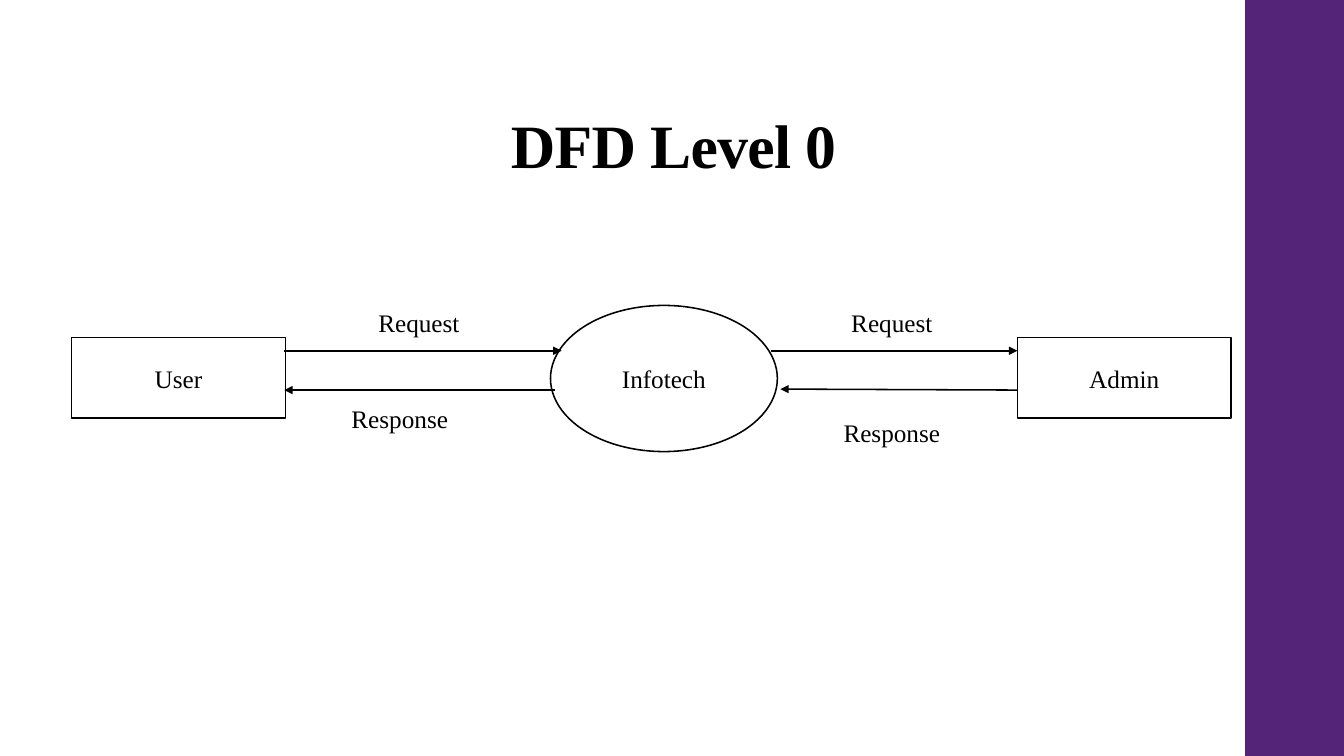
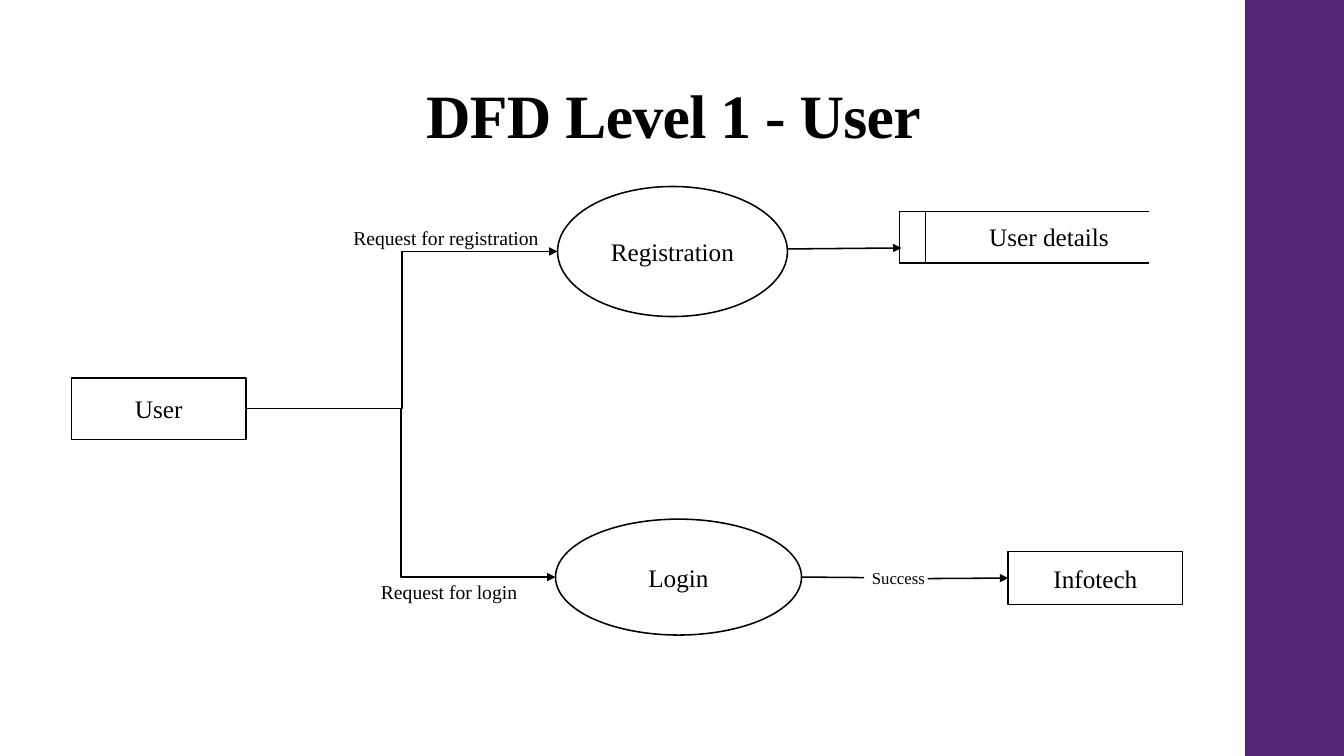
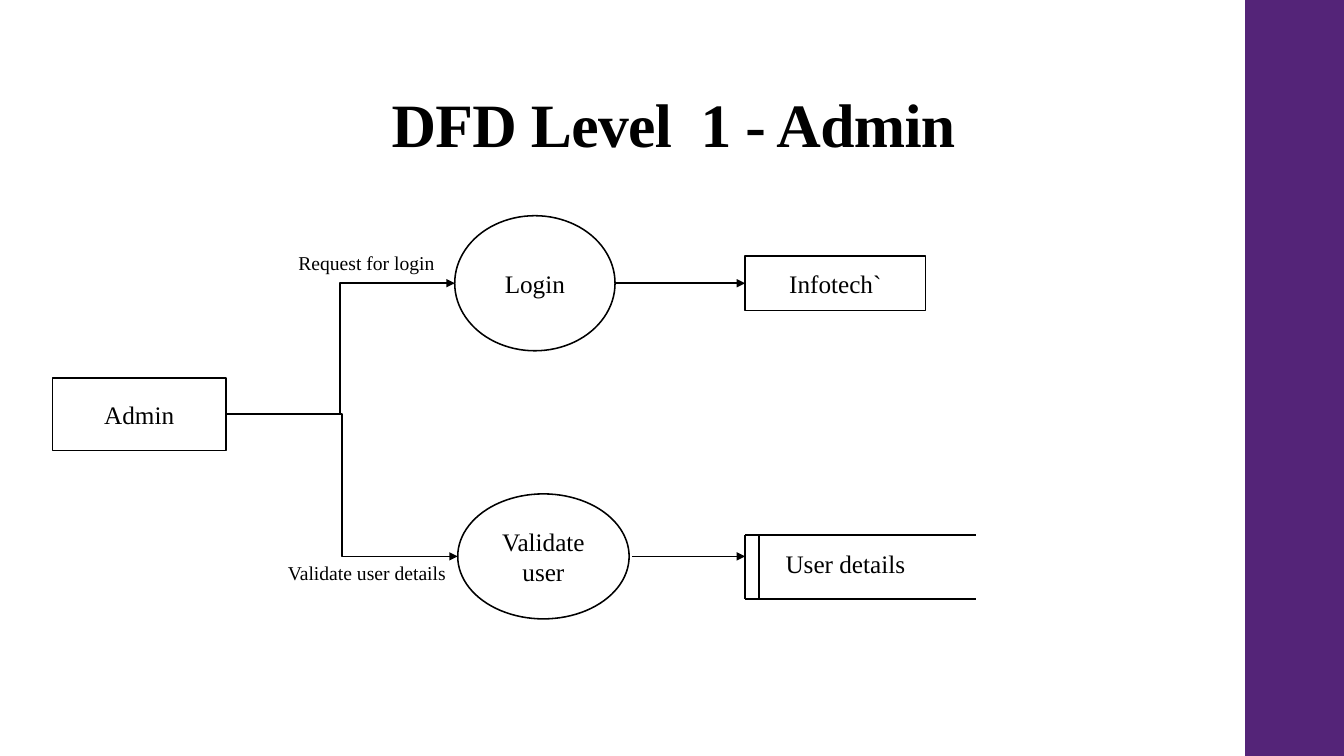
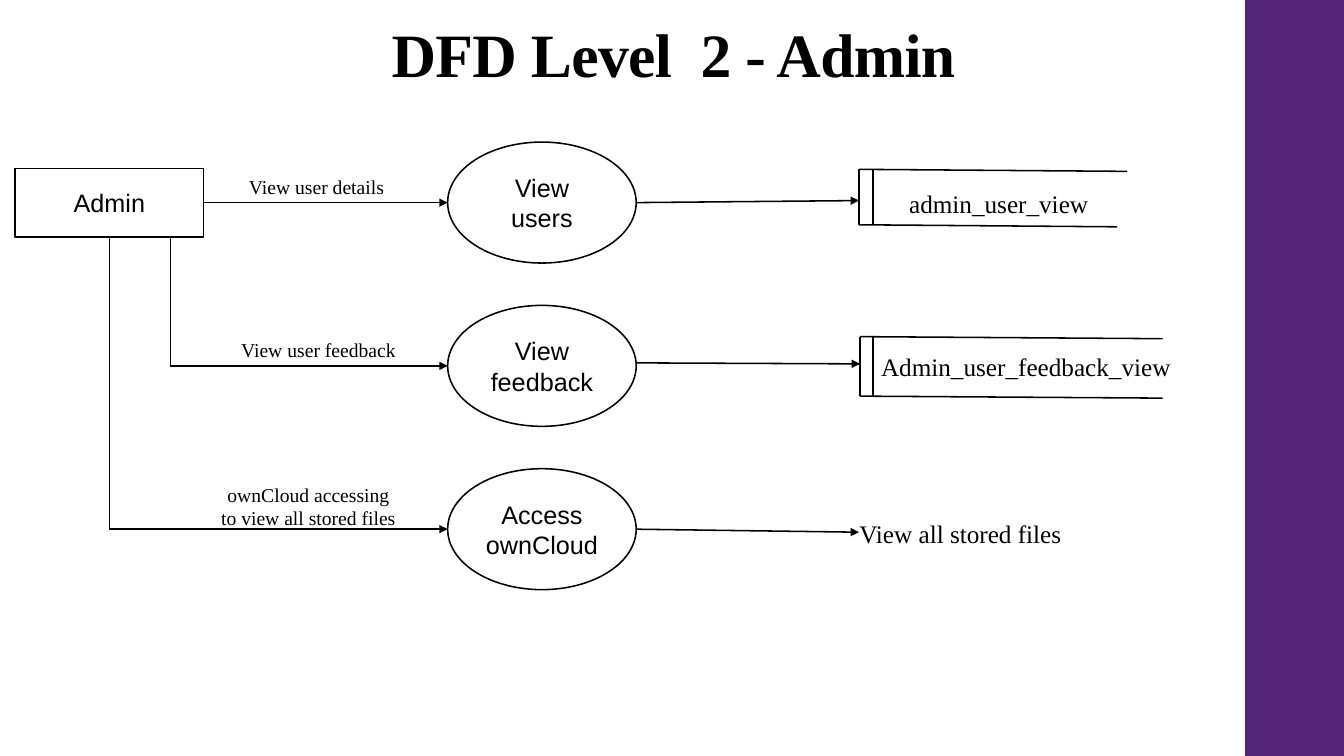
"""Build four data flow diagram slides."""
from dataclasses import dataclass

from lxml import etree
from pptx import Presentation
from pptx.dml.color import RGBColor
from pptx.enum.shapes import MSO_CONNECTOR, MSO_SHAPE
from pptx.enum.text import MSO_ANCHOR, MSO_AUTO_SIZE, PP_ALIGN
from pptx.oxml.ns import qn
from pptx.util import Inches, Pt

RECT, OVAL = MSO_SHAPE.RECTANGLE, MSO_SHAPE.OVAL
LINE, BENT = MSO_CONNECTOR.STRAIGHT, MSO_CONNECTOR.ELBOW
MIDDLE, BOTTOM = MSO_ANCHOR.MIDDLE, MSO_ANCHOR.BOTTOM
CENTER, NO_FIT = PP_ALIGN.CENTER, MSO_AUTO_SIZE.NONE
TOP, LEFT, BASE, RIGHT = range(4)


@dataclass(frozen=True)
class Theme:
    """Colours, fonts and sizes of the deck."""
    ink: RGBColor = RGBColor(0, 0, 0)
    paper: RGBColor = RGBColor(255, 255, 255)
    band: RGBColor = RGBColor(0x54, 0x24, 0x78)
    serif: str = "Times New Roman"
    sans: str = "Arial"
    title: int = 44
    body: int = 18
    label: int = 14
    small: int = 12
    rule: float = 1.1


THEME = Theme()
WIDTH, HEIGHT = 13.33, 7.5
BAND = (12.35, 0, 1, HEIGHT)

SLIDES = [
    {
        "title": ("DFD Level 0", 0.4, 1.45),
        "nodes": {
            "user": (RECT, "User", 0.71, 3.35, 2.12, 0.8),
            "admin": (RECT, "Admin", 10.09, 3.35, 2.12, 0.8),
            "hub": (OVAL, "Infotech", 5.46, 3.03, 2.25, 1.45),
        },
        "flows": [
            ("line", (2.82, 3.48), (5.57, 3.48)),
            ("line", (5.5, 3.87), (2.82, 3.87)),
            ("line", (10.09, 3.87), (7.74, 3.86)),
            ("line", (7.65, 3.48), (10.09, 3.48)),
        ],
        "labels": [
            ("Request", THEME.body, 3.05, 3.01, 2.21, 0.37),
            ("Response", THEME.body, 7.74, 4.11, 2.21, 0.37),
            ("Request", THEME.body, 7.74, 3.01, 2.21, 0.37),
            ("Response", THEME.body, 2.86, 3.97, 2.21, 0.37),
        ],
    },
    {
        "title": ("DFD Level 1 - User", 0.4, 1.16),
        "nodes": {
            "user": (RECT, "User", 0.71, 3.75, 1.73, 0.61),
            "hub": (RECT, "Infotech", 10, 5.47, 1.73, 0.53),
            "join": (OVAL, "Registration", 5.53, 1.85, 2.28, 1.29),
            "login": (OVAL, "Login", 5.51, 5.15, 2.44, 1.15),
        },
        "stores": [(8.92, 2.1, 2.48, 0.51, 0.26, 0, 0)],
        "flows": [
            ("bent", ("user", RIGHT), ("login", LEFT)),
            ("bent", ("user", RIGHT), ("join", LEFT)),
            ("line", (7.81, 2.47), (8.94, 2.46)),
            ("plain", ("login", RIGHT), (8.57, 5.73)),
            ("line", (9.2, 5.74), ("hub", LEFT)),
        ],
        "labels": [
            ("Success", THEME.small, 8.45, 5.59, 0.92, 0.28),
            ("User details", THEME.body, 9.41, 2.08, 1.99, 0.54),
            ("Request for login", THEME.label, 3.23, 5.61, 2.45, 0.53),
            ("Request for registration", THEME.label, 3.2, 2.09, 2.45, 0.53),
        ],
    },
    {
        "title": ("DFD Level  1 - Admin", 0.4, 1.25),
        "nodes": {
            "admin": (RECT, "Admin", 0.52, 3.75, 1.72, 0.72),
            "login": (OVAL, "Login", 4.51, 2.14, 1.59, 1.34),
            "check": (OVAL, "Validate user", 4.54, 4.9, 1.7, 1.24),
            "hub": (RECT, "Infotech`", 7.39, 2.54, 1.79, 0.54),
        },
        "stores": [(7.39, 5.31, 2.29, 0.63, 0.14, 0, 0)],
        "flows": [
            ("line", ("login", RIGHT), ("hub", LEFT)),
            ("bent", ("admin", RIGHT), ("login", LEFT)),
            ("bent", ("admin", RIGHT), ("check", LEFT)),
            ("line", (6.27, 5.52), (7.39, 5.52)),
        ],
        "labels": [
            ("User details", THEME.body, 7.16, 5.24, 2.45, 0.7),
            ("Request for login", THEME.label, 2.84, 2.54, 1.59, 0.14),
            ("Validate user details", THEME.label, 2.64, 5.6, 2, 0.16),
        ],
    },
    {
        "title": ("DFD Level  2 - Admin", 0.04, 0.91),
        "font": THEME.sans,
        "nodes": {
            "admin": (RECT, "Admin", 0.15, 1.67, 1.87, 0.68),
            **{name: (OVAL, text, 4.44, 1.41 + 1.62 * row, 1.87, 1.2)
               for row, (name, text) in enumerate([
                   ("users", "View users"),
                   ("notes", "View feedback"),
                   ("cloud", "Access ownCloud")])},
        },
        "stores": [
            (8.52, 1.68, 2.66, 0.55, 0.14, 0.02, 0.1),
            (8.53, 3.34, 3, 0.59, 0.13, 0.02, 0),
        ],
        "flows": [
            ("line", ("users", RIGHT), (8.52, 1.99)),
            ("line", ("admin", RIGHT), ("users", LEFT)),
            ("plain", (1.69, 2.35), (1.69, 3.63)),
            ("line", (1.69, 3.63), ("notes", LEFT)),
            ("drop", ("admin", BASE), ("cloud", LEFT)),
            ("line", ("cloud", RIGHT), (8.52, 5.28)),
            ("line", (6.31, 3.6), (8.53, 3.61)),
        ],
        "labels": [
            ("admin_user_view", THEME.body, 8.28, 1.76, 3.25, 0.51),
            ("Admin_user_feedback_view", THEME.body, 8.55, 3.38, 3.25, 0.51),
            ("View all stored files", THEME.body, 7.9, 5.04, 3.25, 0.51),
            ("View user details", THEME.label, 2.16, 1.75, 1.96, 0.2),
            ("ownCloud accessing to view all stored files",
             THEME.label, 2.08, 4.92, 1.96, 0.2),
            ("View user feedback", THEME.label, 2.18, 3.37, 1.96, 0.2),
        ],
    },
]


def box(*sizes):
    return [Inches(size) for size in sizes]


def write(shape, text, size, font=THEME.serif, anchor=MIDDLE):
    frame = shape.text_frame
    frame.word_wrap = True
    frame.auto_size = NO_FIT
    frame.vertical_anchor = anchor
    para = frame.paragraphs[0]
    para.alignment = CENTER
    run = para.add_run()
    run.text = text
    run.font.name = font
    run.font.size = Pt(size)
    run.font.color.rgb = THEME.ink
    return para, run


def add_band(slide, layout):
    band = slide.shapes.add_shape(RECT, *box(*BAND))
    band.shadow.inherit = False
    band.fill.solid()
    band.fill.fore_color.rgb = THEME.band
    band.line.fill.background()
    layout.shapes.element.insert(2, band.element)


def add_title(slide, text, top, height):
    title = slide.shapes.title
    title.left, title.top, title.width, title.height = box(
        1.38, top, 10.6, height)
    para, run = write(title, text, THEME.title, anchor=BOTTOM)
    para.line_spacing = 0.9
    run.font.bold = True
    run.font._element.set("spc", "-50")


def add_node(slide, font, kind, text, *place):
    node = slide.shapes.add_shape(kind, *box(*place))
    node.shadow.inherit = False
    node.fill.solid()
    node.fill.fore_color.rgb = THEME.paper
    node.line.color.rgb = THEME.ink
    node.line.width = Pt(THEME.rule)
    write(node, text, THEME.body, font)
    return node


def add_line(slide, start, end, kind=LINE, arrow=False):
    line = slide.shapes.add_connector(kind, *start, *end)
    line.line.color.rgb = THEME.ink
    line.line.width = Pt(THEME.rule)
    props = line.element.spPr
    if arrow:
        etree.SubElement(props.find(qn("a:ln")), qn("a:tailEnd"),
                         type="triangle")
    etree.SubElement(props, qn("a:effectLst"))
    return line


def add_store(slide, x, y, w, h, bar, tilt, cut):
    low = y + h
    for start, end in [
        ((x, y), (x, low)),
        ((x + bar, y), (x + bar, low)),
        ((x, y), (x + w, y + tilt)),
        ((x, low), (x + w - cut, low + tilt)),
    ]:
        add_line(slide, box(*start), box(*end))


def locate(end, nodes):
    if not isinstance(end[0], str):
        return box(*end)
    node = nodes[end[0]]
    across, down = {TOP: (1, 0), LEFT: (0, 1),
                    BASE: (1, 2), RIGHT: (2, 1)}[end[1]]
    return (node.left + node.width * across // 2,
            node.top + node.height * down // 2)


def turn(line, start, end):
    """Make an elbow run down first, then right."""
    wide, high = end[0] - start[0], end[1] - start[1]
    line.left = start[0] + (wide - high) // 2
    line.top = start[1] + (high - wide) // 2
    line.width, line.height = high, wide
    props = line.element.spPr
    frame = props.find(qn("a:xfrm"))
    frame.set("rot", "16200000")
    frame.set("flipH", "1")
    props.find(qn("a:prstGeom")).set("prst", "bentConnector2")


def add_flow(slide, nodes, kind, start, end):
    spots = [locate(side, nodes) for side in (start, end)]
    shape = BENT if kind in ("bent", "drop") else LINE
    line = add_line(slide, *spots, shape, kind != "plain")
    if kind == "drop":
        turn(line, *spots)
    if shape == LINE:
        for side, join in ((start, line.begin_connect),
                           (end, line.end_connect)):
            node = nodes.get(side[0])
            if node is not None and node.auto_shape_type == RECT:
                join(node, side[1])


def add_label(slide, text, size, *place):
    write(slide.shapes.add_textbox(*box(*place)), text, size)


def main():
    deck = Presentation()
    deck.slide_width, deck.slide_height = box(WIDTH, HEIGHT)
    layout = deck.slide_layouts[5]
    for page, data in enumerate(SLIDES):
        slide = deck.slides.add_slide(layout)
        if page == 0:
            add_band(slide, layout)
        add_title(slide, *data["title"])
        font = data.get("font", THEME.serif)
        nodes = {name: add_node(slide, font, *node)
                 for name, node in data["nodes"].items()}
        for store in data.get("stores", []):
            add_store(slide, *store)
        for flow in data["flows"]:
            add_flow(slide, nodes, *flow)
        for label in data["labels"]:
            add_label(slide, *label)
    deck.save("out.pptx")


if __name__ == "__main__":
    main()
